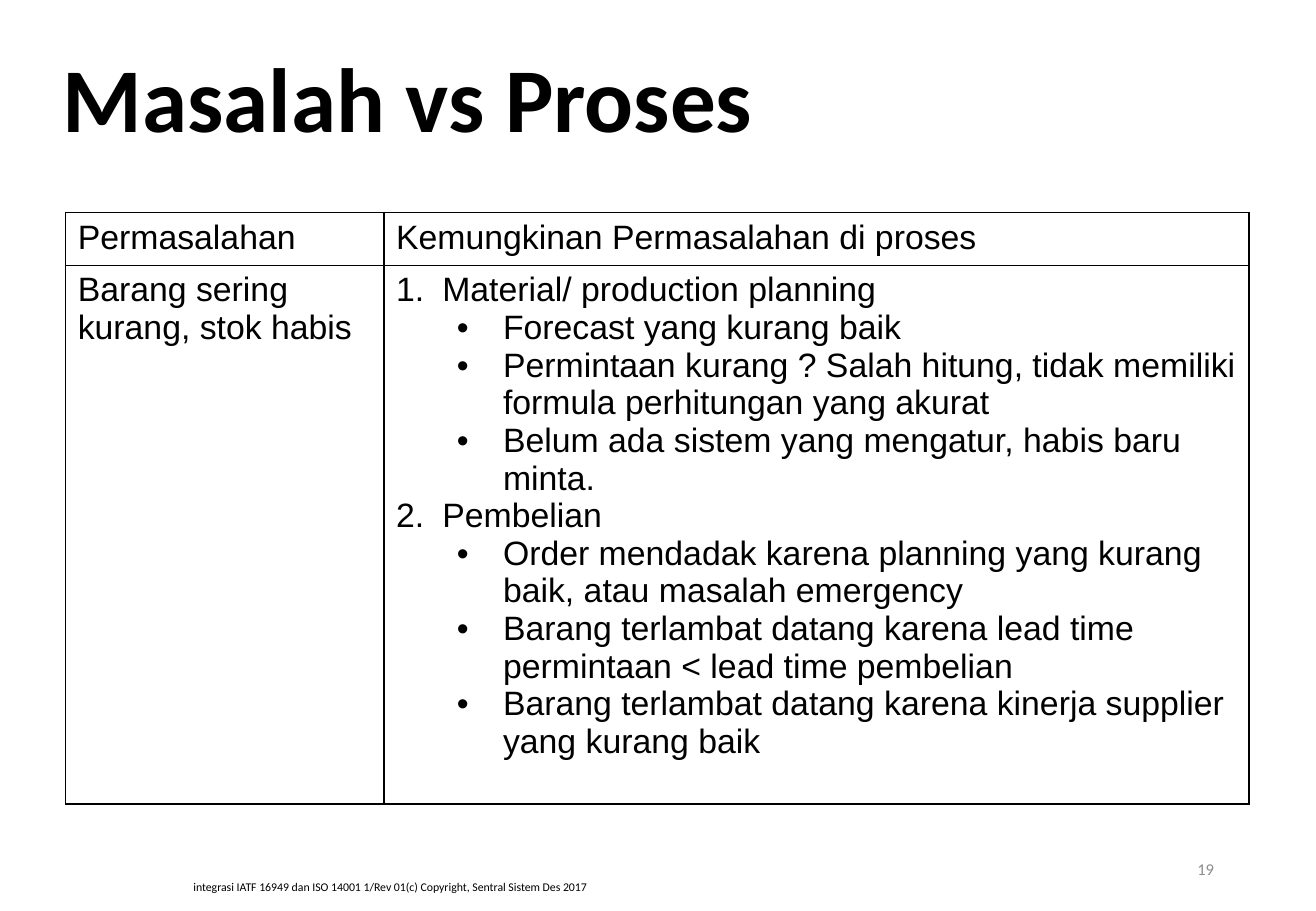
import pptx
import pptx.dml.color
import pptx.enum.text
import pptx.oxml.ns
import pptx.util
from lxml import etree

Inches = pptx.util.Inches
BLACK = pptx.dml.color.RGBColor(0x00, 0x00, 0x00)
GREY = pptx.dml.color.RGBColor(0x8C, 0x8C, 0x8C)
ALIGN = pptx.enum.text.PP_ALIGN

CAUSES = [
    ("Material/ production planning", [
        "Forecast yang kurang baik",
        "Permintaan kurang ? Salah hitung, tidak memiliki formula perhitungan yang akurat",
        "Belum ada sistem yang mengatur, habis baru minta.",
    ]),
    ("Pembelian", [
        "Order mendadak karena planning yang kurang baik, atau masalah emergency",
        "Barang terlambat datang karena lead time permintaan < lead time pembelian",
        "Barang terlambat datang karena kinerja supplier yang kurang baik",
    ]),
]


def add_child(parent, tag, **attributes):
    child = etree.SubElement(parent, pptx.oxml.ns.qn(tag))
    for name, value in attributes.items():
        child.set(name, str(value))
    return child


def write_text(para, text, font="Arial", size=20, color=BLACK, bold=False,
               align=ALIGN.LEFT, spacing=1.0):
    para.alignment = align
    para.line_spacing = spacing
    span = para.add_run()
    span.text = text
    span.font.name = font
    span.font.size = pptx.util.Pt(size)
    span.font.color.rgb = color
    span.font.bold = bold


def add_label(page, text, left, top, width, height, **text_format):
    box = page.shapes.add_textbox(Inches(left), Inches(top), Inches(width), Inches(height))
    box.text_frame.word_wrap = True
    box.text_frame.vertical_anchor = pptx.enum.text.MSO_ANCHOR.MIDDLE
    write_text(box.text_frame.paragraphs[0], text, font="Calibri", **text_format)


def add_list_item(para, text, level):
    properties = para._p.get_or_add_pPr()
    properties.set("marL", str(Inches(0.38 + 0.5 * level)))
    properties.set("indent", str(Inches(-0.38)))
    para.level = level
    add_child(properties, "a:buFont", typeface="Arial")
    if level:
        add_child(properties, "a:buChar", char="•")
    else:
        add_child(properties, "a:buAutoNum", type="arabicPeriod")
    write_text(para, text)


def style_cell(cell):
    properties = cell._tc.get_or_add_tcPr()
    for side in ("a:lnL", "a:lnR", "a:lnT", "a:lnB"):
        line = add_child(properties, side, w=pptx.util.Pt(1))
        add_child(add_child(line, "a:solidFill"), "a:srgbClr", val=BLACK)
    cell.fill.background()


def add_problem_table(page):
    table = page.shapes.add_table(
        2, 2, Inches(0.54), Inches(1.75), Inches(9.74), Inches(4.53)).table
    table.first_row = False
    table.horz_banding = False
    for column, width in zip(table.columns, (2.62, 7.12)):
        column.width = Inches(width)
    for row, height in zip(table.rows, (0.41, 4.12)):
        row.height = Inches(height)
    for cell in table.iter_cells():
        style_cell(cell)

    for row, column, text in (
        (0, 0, "Permasalahan"),
        (0, 1, "Kemungkinan Permasalahan di proses"),
        (1, 0, "Barang sering kurang, stok habis"),
    ):
        write_text(table.cell(row, column).text_frame.paragraphs[0], text)

    frame = table.cell(1, 1).text_frame
    items = []
    for process, problems in CAUSES:
        items.append((process, 0))
        items.extend((problem, 1) for problem in problems)
    for index, (text, level) in enumerate(items):
        para = frame.add_paragraph() if index else frame.paragraphs[0]
        add_list_item(para, text, level)


def main():
    deck = pptx.Presentation()
    deck.slide_width = Inches(10.83)
    deck.slide_height = Inches(7.5)
    page = deck.slides.add_slide(deck.slide_layouts[6])
    add_label(page, "Masalah vs Proses", 0.42, 0.18, 9.67, 1.33,
              size=54, bold=True, spacing=0.9)
    add_problem_table(page)
    add_label(page, "19", 7.65, 6.95, 2.44, 0.4,
              size=9.8, color=GREY, align=ALIGN.RIGHT)
    add_label(page, "integrasi IATF 16949 dan ISO 14001 1/Rev 01(c) Copyright, Sentral Sistem Des 2017",
              0, 7.1, 6.42, 0.4, size=7, align=ALIGN.CENTER)
    deck.save("out.pptx")


if __name__ == "__main__":
    main()
